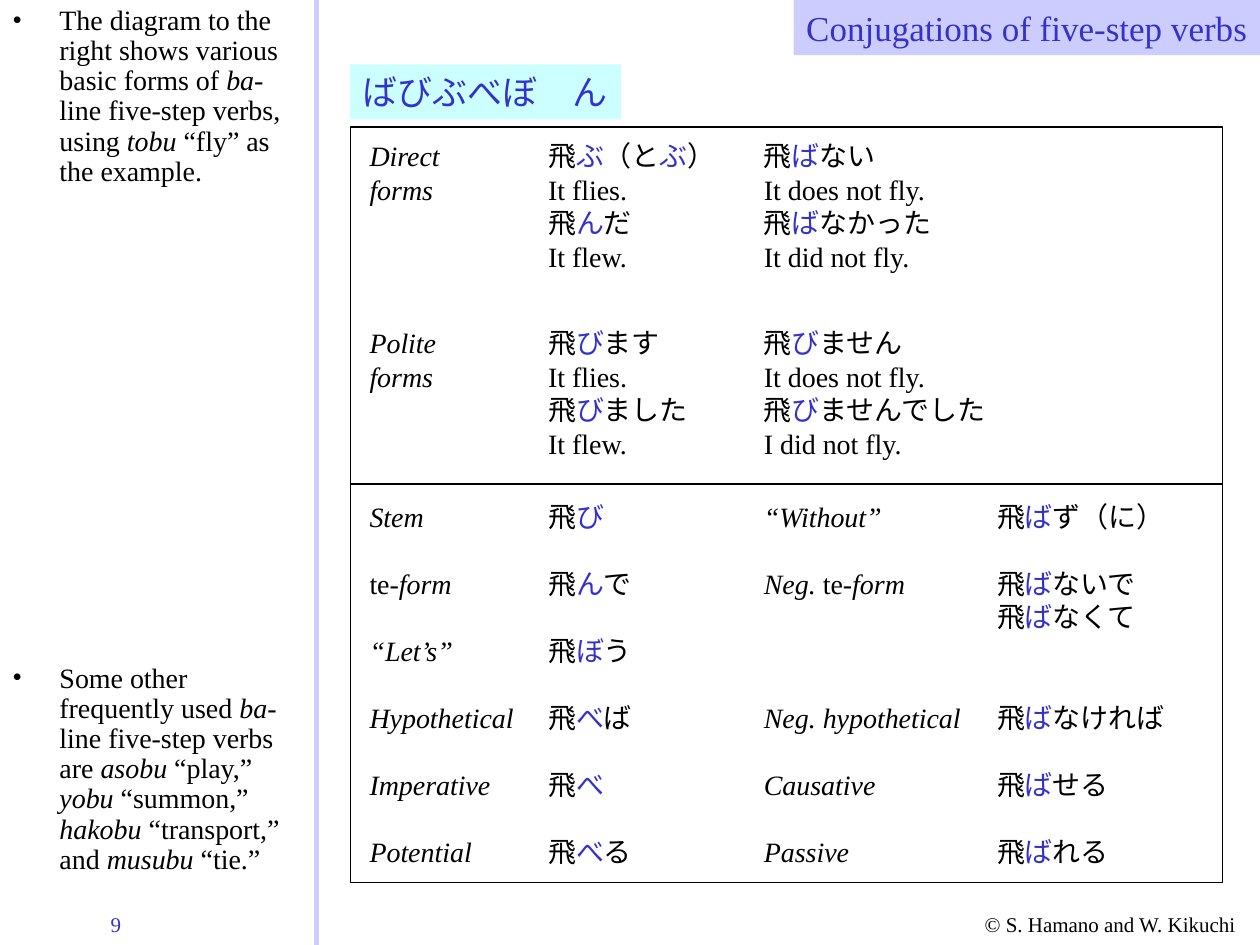
import dataclasses
import pptx
import pptx.dml.color
import pptx.enum.shapes
import pptx.enum.text
import pptx.oxml
import pptx.oxml.ns
import pptx.util

Cm = pptx.util.Cm
Align = pptx.enum.text.PP_ALIGN


@dataclasses.dataclass(frozen=True)
class Theme:
    """Hold the colours, font and type sizes of the slide."""
    ink: str = "000000"
    blue: str = "3333CC"
    lilac: str = "CCCCFF"
    aqua: str = "CCFFFF"
    font: str = "Times New Roman"
    head: int = 20
    body: int = 16
    small: int = 12


THEME = Theme()
COLS = (7.2, 10.8, 15.15, 19.85)
TOP, STEP = 9.94, 1.35
BLOCKS = (
    (2.67, ("*Direct\nforms*",
            "飛~ぶ~（と~ぶ~）\nIt flies.\n飛~ん~だ\nIt flew.",
            "飛~ば~ない\nIt does not fly.\n飛~ば~なかった\nIt did not fly.")),
    (6.44, ("*Polite\nforms*",
            "飛~び~ます\nIt flies.\n飛~び~ました\nIt flew.",
            "飛~び~ません\nIt does not fly.\n飛~び~ませんでした\nI did not fly.")),
)
ROWS = (
    ("*Stem*", "飛~び~", "*“Without”*", "飛~ば~ず（に）"),
    ("te*-form*", "飛~ん~で", "*Neg. *te*-form*", "飛~ば~ないで\n飛~ば~なくて"),
    ("*“Let’s”*", "飛~ぼ~う"),
    ("*Hypothetical*", "飛~べ~ば", "*Neg. hypothetical*", "飛~ば~なければ"),
    ("*Imperative*", "飛~べ~", "*Causative*", "飛~ば~せる"),
    ("*Potential*", "飛~べ~る", "*Passive*", "飛~ば~れる"),
)
NOTES = (
    (0, 4.45, "The diagram to the right shows various basic forms of *ba-*line "
              "five-step verbs, using *tobu* “fly” as the example."),
    (13.26, 4.52, "Some other frequently used *ba-*line five-step verbs are "
                  "*asobu* “play,” *yobu* “summon,” *hakobu* “transport,” "
                  "and *musubu* “tie.”"),
)


def rgb(hue):
    """Turn a hex string into a colour."""
    return pptx.dml.color.RGBColor.from_string(hue)


def write(shape, text, size=THEME.body, hue=THEME.ink, align=Align.LEFT,
          wrap=True, bullet=False):
    """Fill a shape with text in which * toggles italics and ~ toggles blue."""
    frame = shape.text_frame
    frame.word_wrap = wrap
    frame.auto_size = pptx.enum.text.MSO_AUTO_SIZE.NONE
    frame.vertical_anchor = pptx.enum.text.MSO_ANCHOR.TOP
    para = frame.paragraphs[0]
    para.alignment = align
    for i, part in enumerate(text.split("*")):
        for j, bit in enumerate(part.split("~")):
            for k, line in enumerate(bit.split("\n")):
                if k:
                    para = frame.add_paragraph()
                    para.alignment = align
                if line:
                    run = para.add_run()
                    run.text = line
                    run.font.name = THEME.font
                    run.font.size = pptx.util.Pt(size)
                    run.font.italic = i % 2 == 1
                    run.font.color.rgb = rgb(THEME.blue if j % 2 else hue)
    if bullet:
        dot(para)


def dot(para):
    """Give a paragraph a hanging bullet and tight lines."""
    para.line_spacing = 0.9
    props = para._p.get_or_add_pPr()
    props.set("marL", str(Cm(0.95)))
    props.set("indent", str(-Cm(0.95)))
    for tag in (f'buFont typeface="{THEME.font}"', 'buChar char="•"'):
        props.append(pptx.oxml.parse_xml(
            f'<a:{tag} {pptx.oxml.ns.nsdecls("a")}/>'))


def label(slide, text, x, y, w, h, **style):
    """Add a text box."""
    write(slide.shapes.add_textbox(Cm(x), Cm(y), Cm(w), Cm(h)), text, **style)


def cell(slide, text, x, y):
    """Add a text box with room for its longest line."""
    lines = text.replace("*", "").replace("~", "").split("\n")
    wide = max(sum(0.56 if ord(c) > 0x2FFF else 0.24 for c in s) for s in lines)
    label(slide, text, x, y, 0.85 + wide, 0.26 + 0.68 * len(lines))


def box(slide, x, y, w, h, fill=None, line=None):
    """Add a rectangle with an optional fill and outline."""
    shape = slide.shapes.add_shape(
        pptx.enum.shapes.MSO_SHAPE.RECTANGLE, Cm(x), Cm(y), Cm(w), Cm(h))
    shape.shadow.inherit = False
    if fill:
        shape.fill.solid()
        shape.fill.fore_color.rgb = rgb(fill)
    else:
        shape.fill.background()
    if line:
        shape.line.color.rgb = rgb(line)
        shape.line.width = pptx.util.Pt(0.75)
    else:
        shape.line.fill.background()
    return shape


def rule(slide, x, end):
    """Add the upright line beside the notes."""
    line = slide.shapes.add_connector(
        pptx.enum.shapes.MSO_CONNECTOR.STRAIGHT, Cm(x), 0, Cm(x), Cm(end))
    line.line.color.rgb = rgb(THEME.lilac)
    line.line.width = pptx.util.Pt(3)
    line._element.spPr.append(pptx.oxml.parse_xml(
        f'<a:effectLst {pptx.oxml.ns.nsdecls("a")}/>'))


def title(slide, text):
    """Place and format the title."""
    head = slide.shapes.title
    head.left, head.top, head.width, head.height = Cm(16), 0, Cm(9.4), Cm(1.11)
    head.fill.solid()
    head.fill.fore_color.rgb = rgb(THEME.lilac)
    head.text_frame.margin_left = 0
    write(head, text, size=THEME.head, hue=THEME.blue, align=Align.RIGHT)


def main():
    """Build and save the slide."""
    deck = pptx.Presentation()
    deck.slide_width, deck.slide_height = Cm(25.4), Cm(19.05)
    slide = deck.slides.add_slide(deck.slide_layouts[5])
    title(slide, "Conjugations of five-step verbs")
    rule(slide, 6.38, 19.05)
    for y, h, text in NOTES:
        label(slide, text, 0, y, 6.38, h, bullet=True)
    kana = box(slide, 7.06, 1.3, 5.46, 1.11, fill=THEME.aqua)
    write(kana, "ばびぶべぼ　ん", size=THEME.head, hue=THEME.blue, wrap=False)
    for y, h in ((2.56, 7.21), (9.76, 8.03)):
        box(slide, 7.06, y, 17.58, h, line=THEME.ink)
    grid = BLOCKS + tuple((TOP + STEP * i, row) for i, row in enumerate(ROWS))
    for y, row in grid:
        for x, text in zip(COLS, row):
            cell(slide, text, x, y)
    label(slide, "9", 1.98, 18.26, 2.26, 0.77, size=THEME.small,
          hue=THEME.blue)
    label(slide, "© S. Hamano and W. Kikuchi", 19.6, 18.26, 5.8, 0.77,
          size=THEME.small)
    deck.save("out.pptx")


if __name__ == "__main__":
    main()
